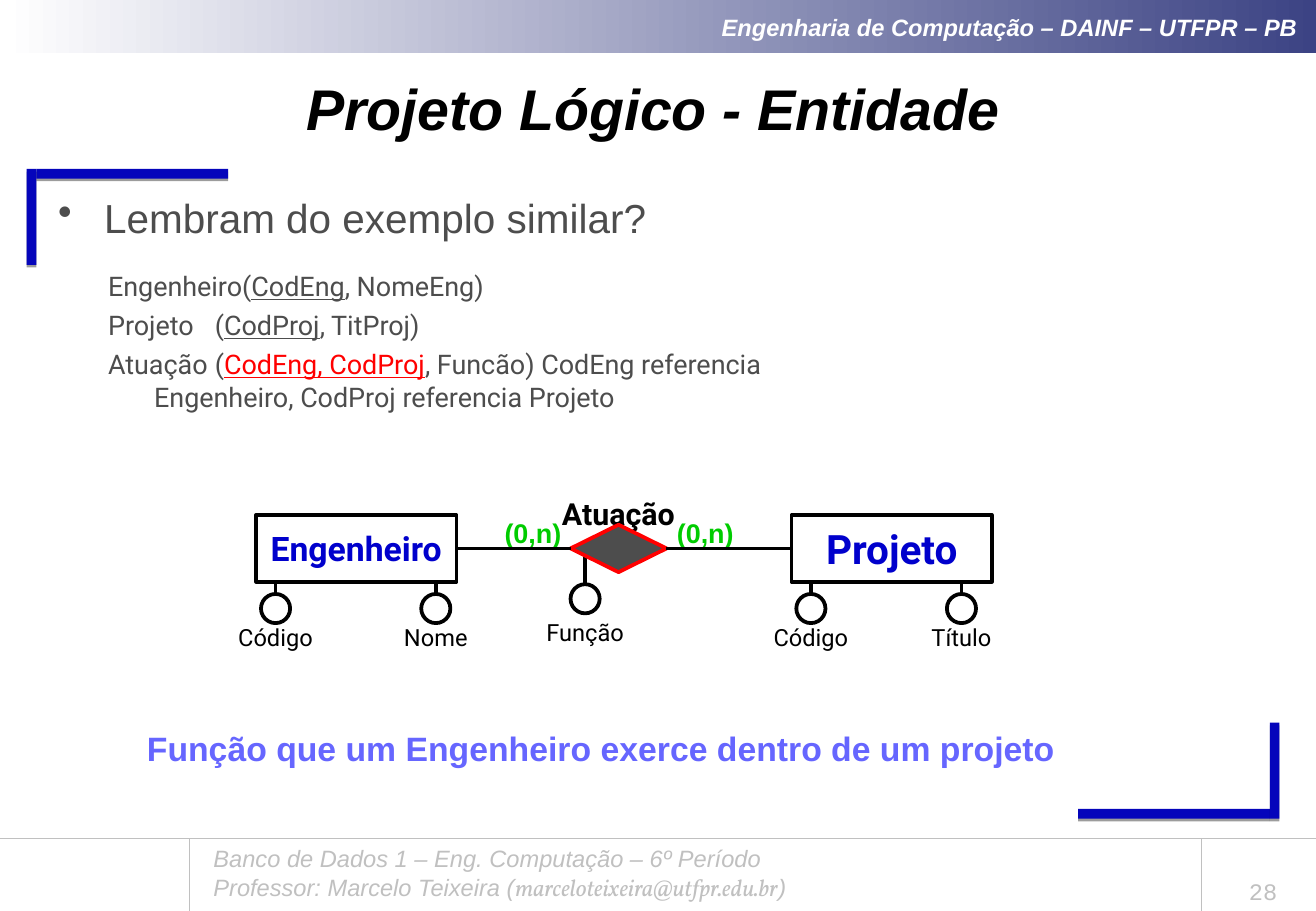
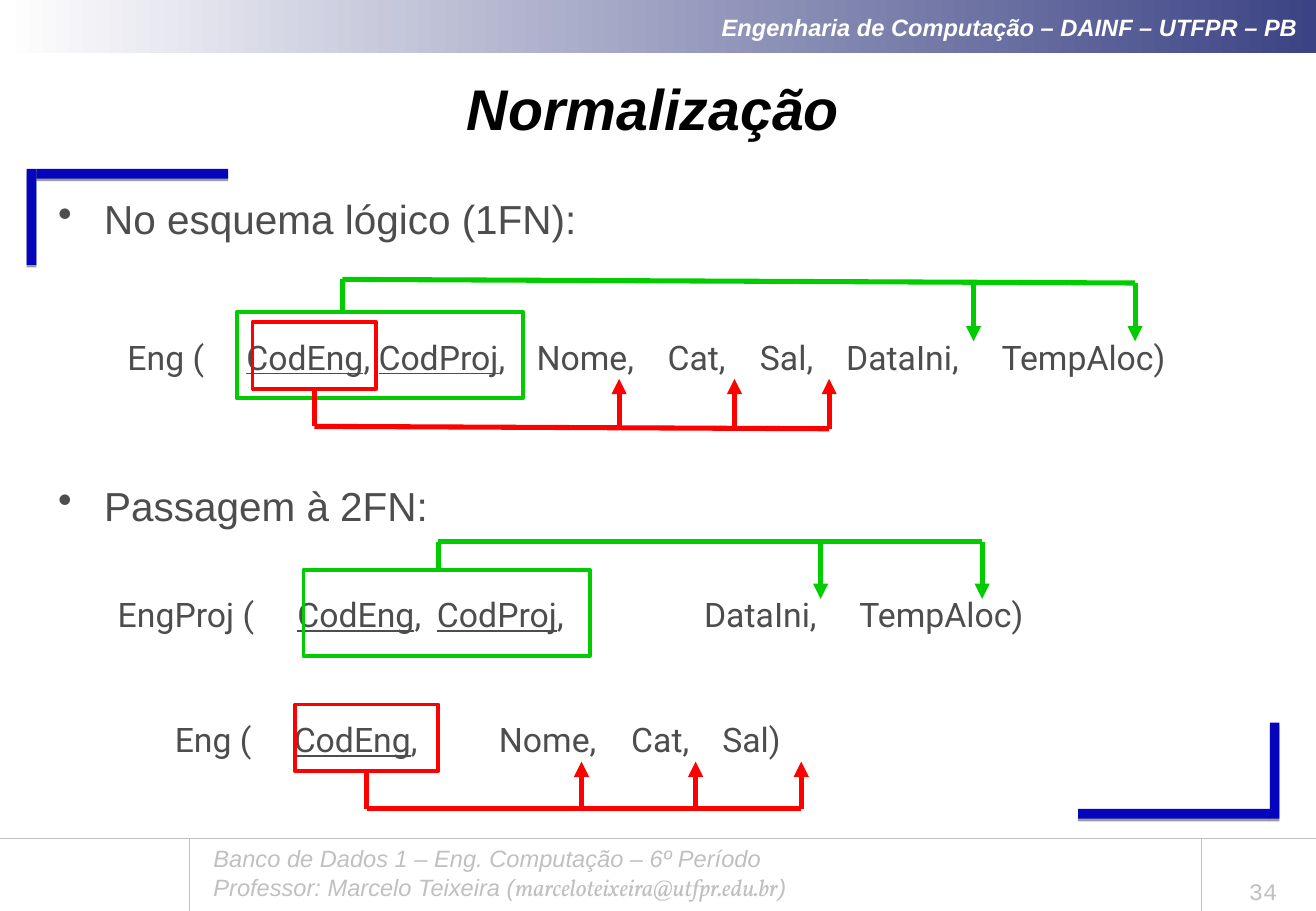
from dataclasses import dataclass

from lxml.etree import SubElement
from pptx import Presentation
from pptx.dml.color import RGBColor
from pptx.enum.shapes import MSO_CONNECTOR as Link, MSO_SHAPE as Preset
from pptx.enum.text import MSO_ANCHOR as Anchor, MSO_AUTO_SIZE as Fit, PP_ALIGN as Align
from pptx.oxml.ns import qn
from pptx.util import Inches, Pt


@dataclass(frozen=True)
class Theme:
    sans: str = "Arial"
    schema: str = "Roboto"
    email: str = "Vollkorn"
    number: str = "Courier New"
    white: str = "FFFFFF"
    black: str = "000000"
    gray: str = "4D4D4D"
    footer: str = "C0C0C0"
    band: str = "3C4384"
    corner: str = "0505BB"
    entity: str = "0000CC"
    note: str = "6666FF"
    green: str = "00CC00"
    red: str = "FF0000"
    title_size: int = 34
    bullet_size: int = 24
    large: int = 20
    medium: int = 18
    small: int = 16
    tiny: int = 14
    thin: float = 0.75
    outline: float = 2.25
    arrow: float = 3


THEME = Theme()
WIDTH, HEIGHT = 108.4, 75  # slide size in grid cells
TOP, LEFT, BOTTOM, RIGHT = range(4)  # connection sites


def cells(*counts):
    """Grid columns or rows, ten to the inch."""
    return [Inches(count / 10) for count in counts]


def rgb(code):
    return RGBColor.from_string(code)


# Text
def write(box, paragraphs, *, size=THEME.tiny, font=THEME.sans, color=THEME.black,
          bold=False, italic=False, align=Align.LEFT, anchor=Anchor.TOP,
          inset=(0.4, 0.4), indent=0, bullet=None, tabs=(), space=0):
    """Each paragraph is a list of spans: a string, or (string, format changes)."""
    frame = box.text_frame
    frame.word_wrap, frame.auto_size = True, Fit.NONE
    frame.vertical_anchor = anchor
    frame.margin_left, frame.margin_top = cells(*inset)
    frame.margin_right, frame.margin_bottom = cells(*inset)
    for index, spans in enumerate(paragraphs):
        para = frame.add_paragraph() if index else frame.paragraphs[0]
        layout_paragraph(para, indent, bullet, tabs, color)
        para.alignment = align
        para.space_before = Pt(space if index else 0)
        for span in spans:
            words, changes = (span, {}) if isinstance(span, str) else span
            run = para.add_run()
            run.text = words
            run.font.name = changes.get("font", font)
            run.font.size = Pt(size)
            run.font.bold, run.font.italic = bold, italic
            run.font.underline = changes.get("underline", False)
            run.font.color.rgb = rgb(changes.get("color", color))


def layout_paragraph(para, indent, bullet, tabs, color):
    props = para._p.get_or_add_pPr()
    if indent:
        margin, = cells(indent)
        props.set("marL", str(margin))
        props.set("indent", str(-margin))
    if bullet:
        paint = SubElement(props, qn("a:buClr"))
        SubElement(paint, qn("a:srgbClr"), val=color)
        SubElement(props, qn("a:buChar"), char=bullet)
    if tabs:
        stops = SubElement(props, qn("a:tabLst"))
        for stop in cells(*tabs):
            SubElement(stops, qn("a:tab"), pos=str(stop), algn="l")


def text_box(page, place, paragraphs, **style):
    box = page.shapes.add_textbox(*cells(*place))
    write(box, paragraphs, **style)
    return box


def label(page, center, top, height, words, **style):
    return text_box(page, (center - 6.5, top, 13, height), [[words]],
                    align=Align.CENTER, **style)


def bullet_line(page, top, words):
    text_box(page, (3.8, top, 100, 6.3), [[words]], size=THEME.bullet_size,
             color=THEME.gray, inset=(1, 0.5), indent=3.8, bullet="•")


def key(words, **changes):
    return words, {"underline": True, **changes}


# Shapes and lines
def shape(page, preset, place, fill=None, line=None):
    item = page.shapes.add_shape(preset, *cells(*place))
    item.shadow.inherit = False
    if fill:
        item.fill.solid()
        item.fill.fore_color.rgb = rgb(fill)
    else:
        item.fill.background()
    if line:
        item.line.color.rgb = rgb(line)
        item.line.width = Pt(THEME.outline)
    else:
        item.line.fill.background()
    return item


def connect(page, start, end, color=THEME.black, width=THEME.outline,
            arrow=False, begin=None, finish=None):
    """begin and finish are (shape, site) pairs to join."""
    line = page.shapes.add_connector(Link.STRAIGHT, *cells(*start, *end))
    line.line.color.rgb = rgb(color)
    line.line.width = Pt(width)
    if arrow:
        SubElement(line.line._get_or_add_ln(), qn("a:tailEnd"), type="triangle")
    SubElement(line.element.spPr, qn("a:effectLst"))
    if begin:
        line.begin_connect(*begin)
    if finish:
        line.end_connect(*finish)
    return line


# Parts shared by all slides
def header_band(page):
    band = shape(page, Preset.RECTANGLE, (0.2, 0, WIDTH - 0.2, 4.4), fill=THEME.white)
    band.fill.gradient()
    band.fill.gradient_angle = 0
    for stop, color, position in zip(band.fill.gradient_stops,
                                     (THEME.white, THEME.band), (0, 1)):
        stop.color.rgb = rgb(color)
        stop.position = position
    write(band, [["Engenharia de Computação – DAINF – UTFPR – PB"]],
          color=THEME.white, bold=True, italic=True, align=Align.RIGHT,
          anchor=Anchor.MIDDLE, inset=(1.5, 0.5))
    return band


def corner_bar(page, place):
    bar = shape(page, Preset.RECTANGLE, place, fill=THEME.corner)
    effects = bar.element.spPr.find(qn("a:effectLst"))
    shadow = SubElement(effects, qn("a:outerShdw"), blurRad="0", dist=str(Pt(1.6)),
                        dir="5400000", rotWithShape="0")
    tint = SubElement(shadow, qn("a:srgbClr"), val=THEME.black)
    SubElement(tint, qn("a:alpha"), val="38000")
    return bar


def furnish(layout, page):
    """Draw the shared parts, then hand them over to the layout."""
    for holder in list(layout.placeholders)[1:]:
        holder.element.getparent().remove(holder.element)
    long, short, thick, rule = 15.8, 7.9, 0.8, 69
    parts = [header_band(page)]
    for place in ((88.8, 66.6, long, thick), (104.6, 59.5, thick, short),
                  (3, 13.9, long, thick), (2.2, 13.9, thick, short)):
        parts.append(corner_bar(page, place))
    for column in (15.6, 99):
        parts.append(connect(page, (column, rule), (column, HEIGHT),
                             THEME.footer, THEME.thin))
    parts.append(connect(page, (0, rule), (WIDTH, rule), THEME.footer, 0.25))
    parts.append(text_box(
        page, (16.6, rule, 75.4, 5.7),
        [["Banco de Dados 1 – Eng. Computação – 6º Período"],
         ["Professor: Marcelo Teixeira (",
          ("marceloteixeira@utfpr.edu.br", {"font": THEME.email}), ")"]],
        color=THEME.footer, italic=True, inset=(1, 0.5)))
    for part in parts:
        layout.element.cSld.spTree.append(part.element)


def add_page(deck, title, number):
    layout = deck.slide_layouts[5]
    page = deck.slides.add_slide(layout)
    if len(deck.slides) == 1:
        furnish(layout, page)
    box = page.shapes.title
    box.left, box.top, box.width, box.height = cells(2.2, 5.4, 103.2, 6.9)
    write(box, [[title]], size=THEME.title_size, bold=True, italic=True,
          align=Align.CENTER, anchor=Anchor.MIDDLE, inset=(1, 0.5))
    text_box(page, (99.7, 71.1, 8.7, 3.9), [[str(number)]], font=THEME.number,
             color=THEME.footer, align=Align.CENTER, anchor=Anchor.BOTTOM,
             inset=(1, 0.5))
    return page


# Entity-relationship diagram
def attribute(page, center, stem, top, words, gap=2):
    circle = shape(page, Preset.OVAL, (center - 1.2, top, 2.4, 2.4),
                   THEME.white, THEME.black)
    connect(page, (center, stem), (center, top), finish=(circle, TOP))
    label(page, center, top + gap, 3.1, words, font=THEME.schema)


def entity(page, left, words, size):
    box = shape(page, Preset.RECTANGLE, (left, 42.4, 16.5, 5.5),
                THEME.white, THEME.black)
    write(box, [[words]], size=size, font=THEME.schema, color=THEME.entity,
          bold=True, align=Align.CENTER, anchor=Anchor.MIDDLE)
    return box


def entity_slide(deck):
    page = add_page(deck, "Projeto Lógico - Entidade", 28)
    bullet_line(page, 15.4, "Lembram do exemplo similar?")
    text_box(page, (8.5, 21.8, 66.1, 12.6),
             [["Engenheiro(", key("CodEng"), ", NomeEng)"],
              ["Projeto\t(", key("CodProj"), ", TitProj)"],
              ["Atuação\t(", key("CodEng, CodProj", color=THEME.red),
               ", Funcão) CodEng referencia Engenheiro, CodProj referencia Projeto"]],
             size=THEME.small, font=THEME.schema, color=THEME.gray,
             indent=3.8, tabs=(10,), space=4)

    # Attributes lie behind the boxes they belong to
    for center, words in ((22.7, "Código"), (35.9, "Nome"),
                          (66.8, "Código"), (79.2, "Título")):
        attribute(page, center, 46.6, 48.9, words)
    attribute(page, 48.2, 45.8, 48.1, "Função", gap=2.4)

    # Relationship between the two entities
    label(page, 50.95, 40.3, 3.9, "Atuação", size=THEME.medium, font=THEME.schema,
          bold=True, anchor=Anchor.MIDDLE)
    for center in (43.9, 58.1):
        label(page, center, 42.1, 3.5, "(0,n)", size=THEME.small,
              color=THEME.green, bold=True)
    diamond = shape(page, Preset.DIAMOND, (47, 43.2, 7.9, 3.9), THEME.gray, THEME.red)
    engineer = entity(page, 21.1, "Engenheiro", THEME.large)
    project = entity(page, 65.2, "Projeto", THEME.bullet_size)
    connect(page, (37.6, 45.2), (47, 45.2), begin=(engineer, RIGHT), finish=(diamond, LEFT))
    connect(page, (54.9, 45.2), (65.2, 45.2), begin=(diamond, RIGHT), finish=(project, LEFT))

    text_box(page, (11.7, 59.5, 83.2, 4.1),
             [["Função que um Engenheiro exerce dentro de um projeto"]],
             size=THEME.large, color=THEME.note, bold=True)


# Functional dependencies
def schema_line(page, left, top, spans, tabs):
    text_box(page, (left, top, 95.3, 4.1), [spans], size=THEME.large,
             font=THEME.schema, color=THEME.gray, tabs=tabs)


def dependency(page, place, color, rail, tip, targets, stem=None, slope=0):
    """Frame a key and lead arrows from it, along a rail, to its dependents.

    Without a stem column the stem leaves from the middle of the frame's side.
    """
    left, top, width, height = place
    frame = shape(page, Preset.RECTANGLE, place, line=color)
    side, edge = (TOP, top) if rail < top else (BOTTOM, top + height)
    joint = None if stem else (frame, side)
    stem = stem or left + width / 2
    pen = {"color": color, "width": THEME.arrow}
    connect(page, (stem, edge), (stem, rail), begin=joint, **pen)
    connect(page, (stem, rail), (targets[-1], rail + slope), **pen)
    for target in targets:
        connect(page, (target, rail + slope), (target, tip), arrow=True, **pen)


def normal_form_slide(deck):
    page = add_page(deck, "Normalização", 34)

    # First normal form
    bullet_line(page, 15.5, "No esquema lógico (1FN):")
    schema_line(page, 10.1, 27.3,
                ["Eng (\t", key("CodEng"), ", ", key("CodProj"),
                 ",\tNome,\tCat,\tSal,\tDataIni,\tTempAloc)"],
                (9.8, 33.7, 44.5, 52.1, 59.2, 72))
    dependency(page, (19.5, 25.7, 23.6, 7.1), THEME.green, 23, 28.1,
               (80.2, 93.5), stem=28.2, slope=0.3)
    dependency(page, (20.8, 26.5, 10.2, 5.5), THEME.red, 35.1, 31.2,
               (51, 60.5, 68.3), slope=0.2)

    # Second normal form
    bullet_line(page, 39.1, "Passagem à 2FN:")
    schema_line(page, 9.3, 48.5,
                ["EngProj (\t", key("CodEng"), ",\t", key("CodProj"),
                 ",\tDataIni,\tTempAloc)"],
                (14.8, 26.3, 48.3, 61.1))
    dependency(page, (25, 46.9, 23.6, 7.1), THEME.green, 44.6, 49.3,
               (67.6, 80.9), stem=36.1)
    schema_line(page, 14, 58.8,
                ["Eng (\t", key("CodEng"), ",\tNome,\tCat,\tSal)"],
                (9.8, 26.7, 37.6, 45.1))
    dependency(page, (24.3, 58, 11.8, 5.5), THEME.red, 66.6, 62.7,
               (47.9, 57.3, 66))


def main():
    deck = Presentation()
    deck.slide_width, deck.slide_height = cells(WIDTH, HEIGHT)
    entity_slide(deck)
    normal_form_slide(deck)
    deck.save("out.pptx")


if __name__ == "__main__":
    main()
